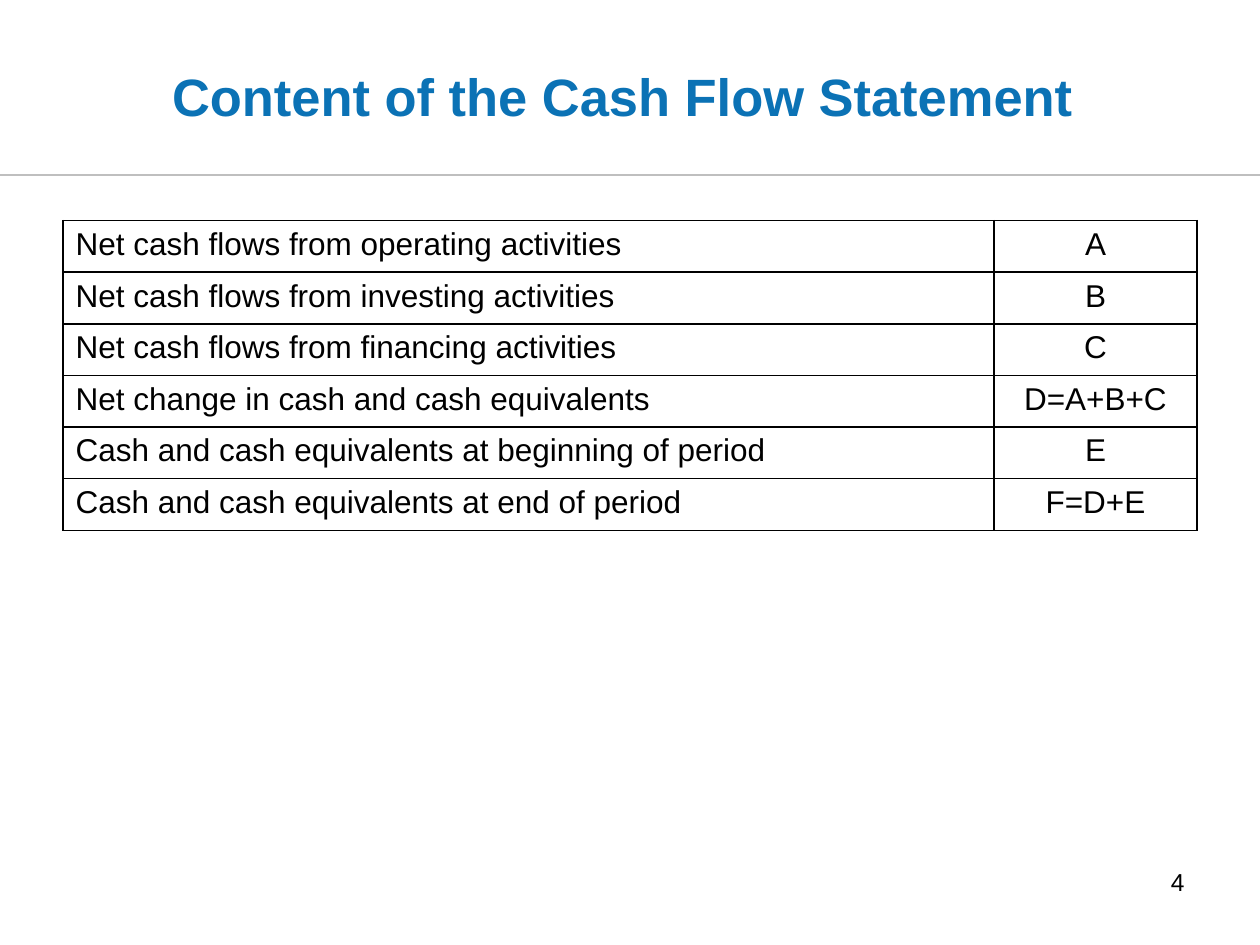
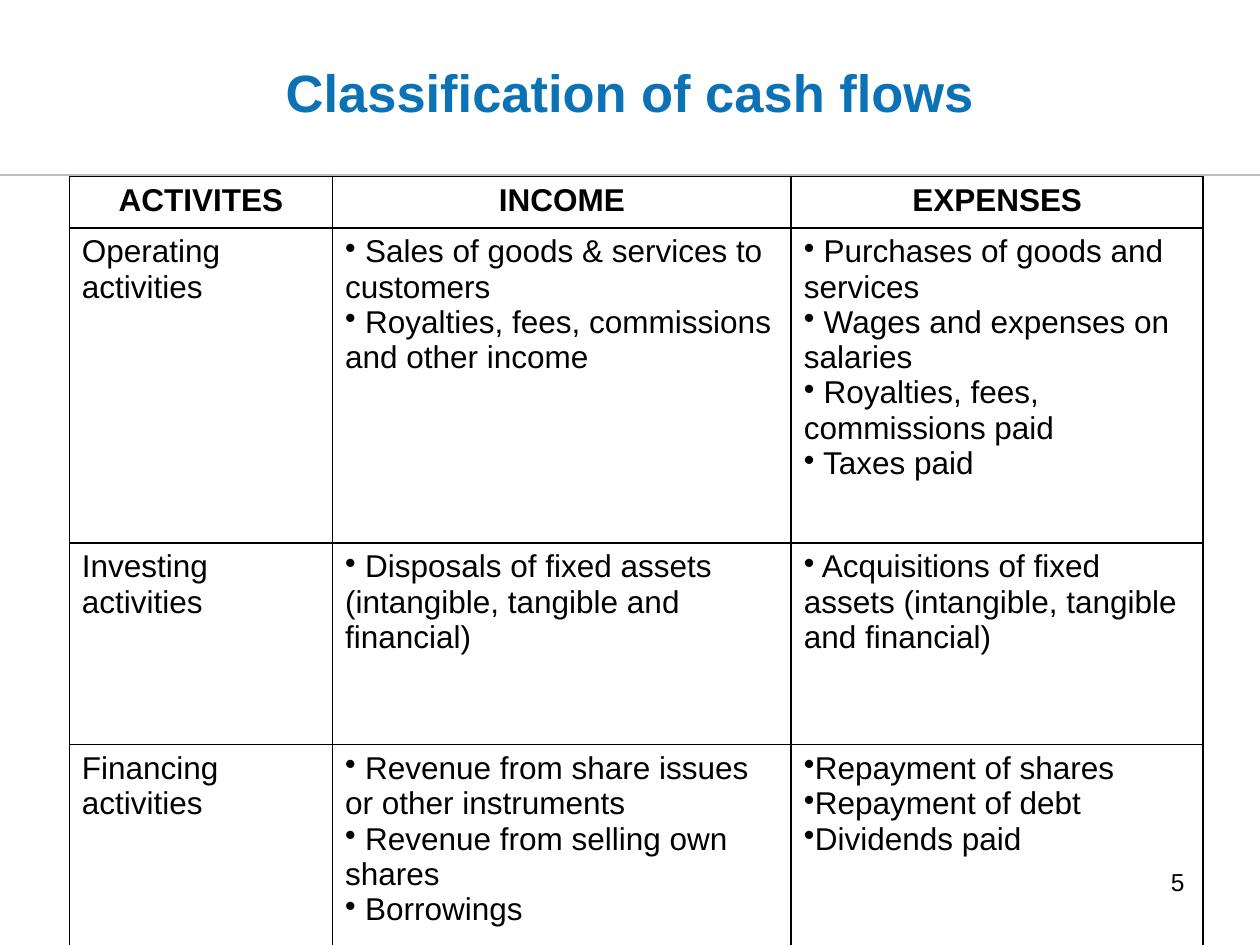
from lxml.etree import SubElement
from pptx import Presentation
from pptx.dml.color import RGBColor
from pptx.enum.shapes import MSO_CONNECTOR
from pptx.enum.text import MSO_ANCHOR, PP_ALIGN
from pptx.oxml import parse_xml
from pptx.oxml.ns import nsdecls, qn
from pptx.util import Inches, Pt

FONT = "Arial"
COLORS = {"title": "0B72B5", "text": "000000", "rule": "BFBFBF", "grid": "000000"}
BULLET = "•"

# Rows of the first table: label and formula
FLOWS = [
    ("Net cash flows from operating activities", "A"),
    ("Net cash flows from investing activities", "B"),
    ("Net cash flows from financing activities", "C"),
    ("Net change in cash and cash equivalents", "D=A+B+C"),
    ("Cash and cash equivalents at beginning of period ", "E"),
    ("Cash and cash equivalents at end of period ", "F=D+E"),
]

# Rows of the second table: a list is a bulleted cell
KINDS = [
    ("ACTIVITES", "INCOME", "EXPENSES"),
    ("Operating activities",
     [" Sales of goods & services to customers",
      " Royalties, fees, commissions and other income"],
     [" Purchases of goods and services",
      " Wages and expenses on salaries",
      " Royalties, fees, commissions paid",
      " Taxes paid"]),
    ("Investing activities",
     [" Disposals of fixed assets (intangible, tangible and financial)"],
     [" Acquisitions of fixed assets (intangible, tangible and financial)"]),
    ("Financing activities",
     [" Revenue from share issues or other instruments",
      " Revenue from selling own shares",
      " Borrowings"],
     ["Repayment of shares ", "Repayment of debt ", "Dividends paid "]),
]


def style(para, size, color="text", bold=False, align=PP_ALIGN.LEFT):
    para.alignment = align
    for run in para.runs:
        font = run.font
        font.name, font.size, font.bold = FONT, Pt(size), bold
        font.color.rgb = RGBColor.from_string(COLORS[color])


def add_text(slide, box, text, anchor, **look):
    shape = slide.shapes.add_textbox(*map(Inches, box))
    frame = shape.text_frame
    frame.word_wrap = True
    frame.vertical_anchor = anchor
    frame.text = text
    style(frame.paragraphs[0], **look)


def add_rule(slide):
    line = slide.shapes.add_connector(
        MSO_CONNECTOR.STRAIGHT, 0, Inches(1.39), Inches(10), Inches(1.39))
    line.line.color.rgb = RGBColor.from_string(COLORS["rule"])
    line.line.width = Pt(0.75)
    SubElement(line._element.spPr, qn("a:effectLst"))


def add_page(deck, title, top, height, number):
    """Blank slide with the shared rule and title; the number goes on last."""
    slide = deck.slides.add_slide(deck.slide_layouts[6])
    add_rule(slide)
    add_text(slide, (0.5, top, 9, height), title, MSO_ANCHOR.MIDDLE,
             size=30, color="title", bold=True, align=PP_ALIGN.CENTER)
    return slide


def add_number(slide, number):
    add_text(slide, (7.17, 6.83, 2.33, 0.52), str(number), MSO_ANCHOR.TOP,
             size=14, align=PP_ALIGN.RIGHT)


def add_borders(cell):
    props = cell._tc.get_or_add_tcPr()
    for spot, side in enumerate(("lnL", "lnR", "lnT", "lnB")):
        props.insert(spot, parse_xml(
            f'<a:{side} {nsdecls("a")} w="{Pt(1)}"><a:solidFill>'
            f'<a:srgbClr val="{COLORS["grid"]}"/></a:solidFill></a:{side}>'))


def add_bullet(para):
    props = para._p.get_or_add_pPr()
    props.set("marL", "0")
    props.set("indent", "0")
    SubElement(props, qn("a:buChar")).set("char", BULLET)


def fill_cell(cell, value, **look):
    listed = isinstance(value, list)
    cell.text_frame.text = "\n".join(value) if listed else value
    for para in cell.text_frame.paragraphs:
        style(para, 18, **look)
        if listed:
            add_bullet(para)
    cell.fill.background()
    add_borders(cell)


def add_grid(slide, left, top, widths, heights, rows, look):
    """Bordered table; look(row, col) gives the text style of a cell."""
    table = slide.shapes.add_table(
        len(rows), len(widths), Inches(left), Inches(top),
        Inches(sum(widths)), Inches(sum(heights))).table
    table.first_row = table.horz_banding = False
    for col, width in zip(table.columns, widths):
        col.width = Inches(width)
    for row, height in zip(table.rows, heights):
        row.height = Inches(height)
    for r, values in enumerate(rows):
        for c, value in enumerate(values):
            fill_cell(table.cell(r, c), value, **look(r, c))


def flow_look(row, col):
    return {"align": PP_ALIGN.CENTER if col else PP_ALIGN.LEFT}


def kind_look(row, col):
    return {} if row else {"bold": True, "align": PP_ALIGN.CENTER}


def main():
    deck = Presentation()
    deck.slide_width, deck.slide_height = Inches(10), Inches(7.5)

    # Content of the statement
    slide = add_page(deck, "Content of the Cash Flow Statement ", 0.13, 1.25, 4)
    add_grid(slide, 0.5, 1.75, [7.39, 1.61], [0.41] * len(FLOWS), FLOWS, flow_look)
    add_number(slide, 4)

    # Classification by activity
    slide = add_page(deck, "Classification of cash flows", 0.3, 0.85, 5)
    add_grid(slide, 0.55, 1.4, [2.09, 3.64, 3.27], [0.41, 2.5, 1.6, 1.3],
             KINDS, kind_look)
    add_number(slide, 5)

    deck.save("out.pptx")


main()
